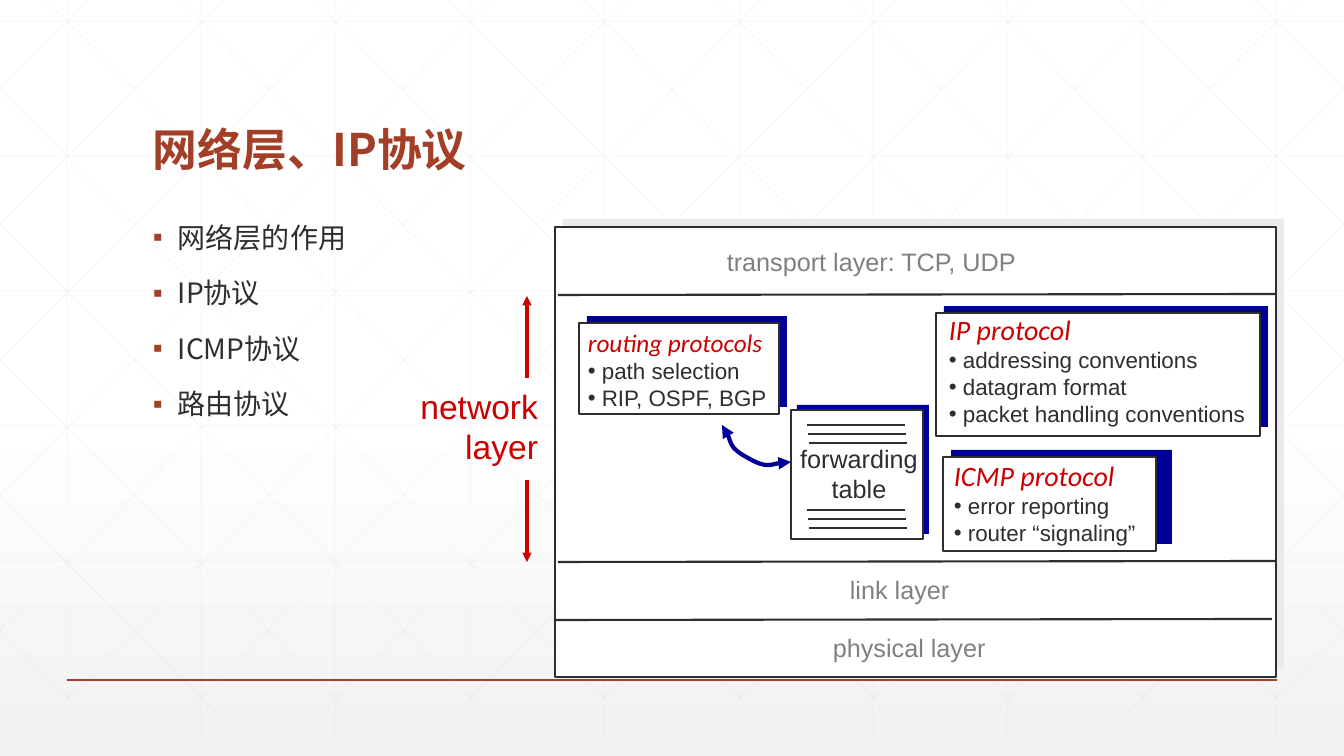
from lxml.etree import SubElement
from pptx import Presentation
from pptx.dml.color import RGBColor
from pptx.enum.shapes import MSO_CONNECTOR, MSO_SHAPE
from pptx.enum.text import MSO_ANCHOR, MSO_AUTO_SIZE, PP_ALIGN
from pptx.oxml.ns import qn
from pptx.util import Emu, Pt

WIDTH, HEIGHT = 1344, 756
INK, RUST, RED, NAVY, GREY = "2D2E2D", "A43F27", "CC0000", "000099", "808080"
CJK = "Noto Sans CJK SC"


def px(length):
    return Emu(round(length * 914400 / 100.8))


def rgb(hex_colour):
    return RGBColor.from_string(hex_colour)


def style(size, colour=INK, name="Arial", **extra):
    return {"size": Pt(size), "name": name, "colour": colour, **extra}


class Slide:
    def __init__(self, deck):
        self.slide = deck.slides.add_slide(deck.slide_layouts[6])
        self.shapes = self.slide.shapes

    def background(self, start, end, start_at):
        fill = self.slide.background.fill
        fill.gradient()
        fill.gradient_angle = 270
        for stop, colour, position in zip(fill.gradient_stops, (start, end), (start_at, 1)):
            stop.color.rgb = rgb(colour)
            stop.position = position

    def stroke(self, shape, colour, width, ends=(), alpha=None):
        """Style a line; ends lists headEnd and/or tailEnd for arrowheads."""
        shape.line.color.rgb = rgb(colour)
        shape.line.width = Pt(width)
        ln = shape._element.spPr.find(qn("a:ln"))
        if alpha:
            SubElement(ln.find(".//" + qn("a:srgbClr")), qn("a:alpha"), val=str(alpha * 1000))
        for end in ends:
            SubElement(ln, qn("a:" + end), type="triangle")

    def line(self, start, end, colour=INK, width=1.5, **options):
        connector = self.shapes.add_connector(
            MSO_CONNECTOR.STRAIGHT, *map(px, start), *map(px, end))
        self.stroke(connector, colour, width, **options)
        SubElement(connector._element.spPr, qn("a:effectLst"))

    def rect(self, frame, fill, outline=None):
        shape = self.shapes.add_shape(MSO_SHAPE.RECTANGLE, *map(px, frame))
        shape.shadow.inherit = False
        shape.fill.solid()
        shape.fill.fore_color.rgb = rgb(fill)
        if outline:
            self.stroke(shape, outline, 1.5)
        else:
            shape.line.fill.background()

    def card(self, front, back, back_colour=NAVY):
        """White outlined panel over an offset solid one."""
        self.rect(back, back_colour)
        self.rect(front, "FFFFFF", INK)

    def curve(self, points, colour, width):
        """Cubic curve: a start point, then three points per segment."""
        builder = self.shapes.build_freeform(*map(px, points[0]))
        builder.add_line_segments([tuple(map(px, point)) for point in points[1:]], close=False)
        shape = builder.convert_to_shape()
        shape.shadow.inherit = False
        shape.fill.background()
        path = shape._element.spPr.find(".//" + qn("a:path"))
        steps = path.findall(qn("a:lnTo"))
        for first in range(0, len(steps), 3):
            bezier = SubElement(path, qn("a:cubicBezTo"))
            for step in steps[first:first + 3]:
                bezier.append(step[0])
                path.remove(step)
        self.stroke(shape, colour, width, ends=("headEnd", "tailEnd"))

    def bullet(self, paragraph, char, indent, colour):
        props = paragraph._p.get_or_add_pPr()
        props.set("marL", str(px(indent)))
        props.set("indent", str(-px(indent)))
        SubElement(SubElement(props, qn("a:buClr")), qn("a:srgbClr"), val=colour)
        SubElement(props, qn("a:buFont"), typeface="Arial")
        SubElement(props, qn("a:buChar"), char=char)

    def text(self, frame, lines, wrap=False, anchor=MSO_ANCHOR.TOP, bullet=None, **formats):
        """Lines are (text, style, bulleted); formats apply to every paragraph."""
        box = self.shapes.add_textbox(*map(px, frame)).text_frame
        box.word_wrap = wrap
        box.vertical_anchor = anchor
        box.auto_size = MSO_AUTO_SIZE.NONE if wrap else MSO_AUTO_SIZE.SHAPE_TO_FIT_TEXT
        gap = formats.pop("space_before", Pt(0))
        for index, (words, look, bulleted) in enumerate(lines):
            paragraph = box.paragraphs[0] if index == 0 else box.add_paragraph()
            if bulleted:
                self.bullet(paragraph, *bullet)
            paragraph.space_before = gap if index else Pt(0)
            for key, value in formats.items():
                setattr(paragraph, key, value)
            run = paragraph.add_run()
            run.text = words
            for key, value in look.items():
                if key == "colour":
                    run.font.color.rgb = rgb(value)
                else:
                    setattr(run.font, key, value)
            if look["name"] == CJK:
                SubElement(run._r.get_or_add_rPr(), qn("a:ea"), typeface=CJK)

    def protocol(self, frame, heading, size, items):
        lines = [(heading, style(size, RED, "Calibri", italic=True), False)]
        lines += [(item, style(16), True) for item in items]
        self.text(frame, lines, bullet=("•", 14, INK))


def draw_grid(slide):
    top, bottom, run = -21, 735, 751
    faint = {"colour": "D9D9D9", "width": 0.5, "alpha": 25}
    for column in range(10):
        x = 67 + column * WIDTH // 10
        slide.line((x, top), (x, bottom), **faint)
    for y in range(21, HEIGHT, 135):
        slide.line((0, y), (WIDTH, y), **faint)
    for column in range(-5, 10):
        x = 25 + column * WIDTH // 10
        left, right = max(x, 0), min(x + run, WIDTH)
        y_left, y_right = (top + (edge - x) * HEIGHT // run for edge in (left, right))
        slide.line((left, y_left), (right, y_right), **faint)
        slide.line((WIDTH - left, y_left), (WIDTH - right, y_right), **faint)


def main():
    deck = Presentation()
    deck.slide_width, deck.slide_height = px(WIDTH), px(HEIGHT)
    slide = Slide(deck)
    slide.background("FFFFFF", "F2F2F2", 0.53)
    draw_grid(slide)
    slide.line((67, 680), (1277, 680), RUST, 1)

    slide.text((143, 55, 1058, 126), [("网络层、IP协议", style(32, RUST, CJK, bold=True), False)],
               wrap=True, anchor=MSO_ANCHOR.BOTTOM, line_spacing=0.9)
    topics = ("网络层的作用", "IP协议", "ICMP协议", "路由协议")
    slide.text((143, 219, 1058, 420), [(topic, style(20, INK, CJK), True) for topic in topics],
               wrap=True, bullet=("▪", 25, RUST), line_spacing=0.9, space_before=Pt(18))

    slide.card((555, 227, 721, 450), (563, 219, 721, 450), "EAEAEA")
    for left, y in ((558, 295), (558, 562), (554, 620)):
        slide.line((left, y), (left + 718, y - 1))
    for frame, layer in (((717, 241, 312, 40), "transport layer: TCP, UDP"),
                         ((840, 569, 120, 40), "link layer"),
                         ((823, 627, 173, 40), "physical layer")):
        slide.text(frame, [(layer, style(18, GREY), False)])

    slide.card((791, 410, 132, 129), (797, 405, 132, 129))
    slide.text((790, 438, 138, 71),
               [(word, style(18), False) for word in ("forwarding", "table")],
               alignment=PP_ALIGN.CENTER)
    for first_row in (425, 510):
        for row in range(3):
            x, y = 807 + row, first_row + 9 * row
            slide.line((x, y), (x + 98, y))

    slide.card((579, 323, 200, 91), (587, 316, 200, 91))
    slide.protocol((578, 322, 205, 95), "routing protocols", 18,
                   ("path selection", "RIP, OSPF, BGP"))
    slide.curve([(722, 425), (727, 428), (729, 448), (748, 458),
                 (767, 469), (782, 461), (791, 462)], NAVY, 3)
    slide.card((936, 313, 324, 123), (944, 306, 324, 121))
    slide.protocol((939, 308, 317, 125), "IP protocol", 20,
                   ("addressing conventions", "datagram format", "packet handling conventions"))
    slide.card((943, 457, 213, 94), (951, 450, 221, 94))
    slide.protocol((944, 454, 203, 98), "ICMP protocol", 20,
                   ("error reporting", "router “signaling”"))

    slide.text((410, 381, 138, 91),
               [(word, style(24, RED), False) for word in ("network", "layer")],
               alignment=PP_ALIGN.RIGHT)
    for start, end in ((378, 296), (480, 562)):
        slide.line((527, start), (527, end), RED, 2.25, ends=("tailEnd",))
    deck.save("out.pptx")


if __name__ == "__main__":
    main()
